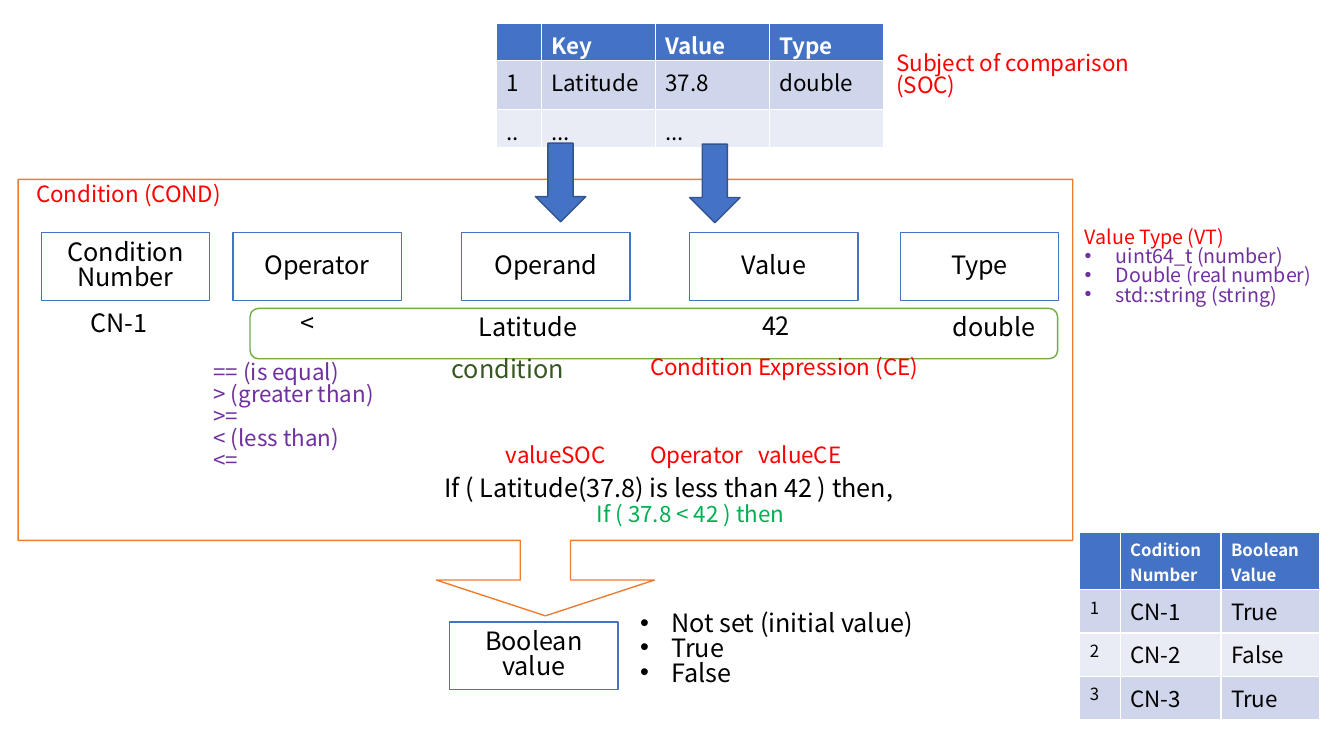
import pptx
import pptx.util
import pptx.dml.color
import pptx.enum.shapes
import pptx.enum.text
import pptx.oxml.ns
import lxml.etree

Inches, Pt = pptx.util.Inches, pptx.util.Pt
SHAPE = pptx.enum.shapes.MSO_SHAPE
RGB = pptx.dml.color.RGBColor.from_string
qn = pptx.oxml.ns.qn

COLORS = {
    "black": "000000", "white": "FFFFFF", "red": "FF0000", "purple": "7030A0",
    "green": "00B050", "dark green": "385723", "light green": "70AD47",
    "blue": "4472C4", "dark blue": "325491", "orange": "ED7D31",
    "band 1": "CFD5EA", "band 2": "E9EBF5",
}
FONT = "Noto Sans CJK KR"

prs = pptx.Presentation()
prs.slide_width, prs.slide_height = Inches(13.33), Inches(7.5)
slide = prs.slides.add_slide(prs.slide_layouts[6])


def write(frame, lines, size, color="black", first_bullet=None, spacing=0.82, bold=False):
    """Fill a text frame; lines from first_bullet onwards get a bullet."""
    frame.word_wrap = True
    for i, line in enumerate(lines):
        paragraph = frame.paragraphs[0] if i == 0 else frame.add_paragraph()
        paragraph.text = line
        paragraph.line_spacing = spacing
        if first_bullet is not None and i >= first_bullet:
            props = paragraph._p.get_or_add_pPr()
            props.set("marL", str(Inches(0.31)))
            props.set("indent", str(-Inches(0.31)))
            font = lxml.etree.SubElement(props, qn("a:buFont"))
            font.set("typeface", "Arial")
            lxml.etree.SubElement(props, qn("a:buChar")).set("char", "•")
        paragraph.font.name = FONT
        paragraph.font.size = Pt(size)
        paragraph.font.bold = bold
        paragraph.font.color.rgb = RGB(COLORS[color])


def draw(preset, left, top, width, height, line, fill=None):
    """Add a preset shape with a thin outline and an optional fill."""
    shape = slide.shapes.add_shape(
        preset, Inches(left), Inches(top), Inches(width), Inches(height))
    shape.shadow.inherit = False
    shape.line.color.rgb = RGB(COLORS[line])
    shape.line.width = Pt(1)
    if fill:
        shape.fill.solid()
        shape.fill.fore_color.rgb = RGB(COLORS[fill])
    else:
        shape.fill.background()
    return shape


# Condition frame pointing down to its result
condition_frame = draw(SHAPE.DOWN_ARROW_CALLOUT, 0.18, 1.78, 10.46, 4.33, "orange")
for i, value in enumerate((0.115, 0.25, 0.082, 0.827)):
    condition_frame.adjustments[i] = value

# Headed boxes
for label, left, top, width in (
    ("Condition Number", 0.41, 2.31, 1.67),
    ("Operator", 2.31, 2.31, 1.67),
    ("Operand", 4.58, 2.31, 1.67),
    ("Value", 6.84, 2.31, 1.67),
    ("Type", 8.93, 2.31, 1.57),
    ("Boolean value", 4.46, 6.17, 1.67),
):
    box = draw(SHAPE.RECTANGLE, left, top, width, 0.67, "blue", "white")
    write(box.text_frame, [label], 18)
    box.text_frame.vertical_anchor = pptx.enum.text.MSO_ANCHOR.MIDDLE
    box.text_frame.paragraphs[0].alignment = pptx.enum.text.PP_ALIGN.CENTER

# Tables: subject of comparison, and results per condition
for left, top, columns, heights, number_size, header_size, rows in (
    (4.92, 0.23, (0.45, 1.13, 1.13, 1.13), (0.37, 0.49, 0.37), 16, 16, (
        ("", "Key", "Value", "Type"),
        ("1", "Latitude", "37.8", "double"),
        ("..", "...", "...", ""))),
    (10.71, 5.28, (0.4, 1, 0.98), (0.57, 0.43, 0.43, 0.43), 12, 12, (
        ("", "Codition Number", "Boolean Value"),
        ("1", "CN-1", "True"),
        ("2", "CN-2", "False"),
        ("3", "CN-3", "True"))),
):
    table = slide.shapes.add_table(
        len(rows), len(columns), Inches(left), Inches(top),
        Inches(sum(columns)), Inches(sum(heights))).table
    for column, width in zip(table.columns, columns):
        column.width = Inches(width)
    for r, row in enumerate(rows):
        table.rows[r].height = Inches(heights[r])
        for c, entry in enumerate(row):
            cell = table.cell(r, c)
            cell.margin_bottom = 0
            cell.fill.solid()
            fill = "blue" if r == 0 else "band 1" if r % 2 else "band 2"
            cell.fill.fore_color.rgb = RGB(COLORS[fill])
            size = header_size if r == 0 else number_size if c == 0 else 16
            write(cell.text_frame, [entry], size, "white" if r == 0 else "black",
                  spacing=1.0, bold=r == 0)

# Arrows from the table, and the outline of the expression
for left, top in ((5.31, 1.42), (6.84, 1.43)):
    draw(SHAPE.DOWN_ARROW, left, top, 0.5, 0.78, "dark blue", "blue")
draw(SHAPE.ROUNDED_RECTANGLE, 2.48, 3.06, 8.01, 0.5, "light green")

# Single-colour texts
for left, top, width, height, size, color, lines in (
    (0.8, 3.05, 1.6, 0.4, 18, "black", ["CN-1"]),
    (2.88, 3.05, 1.6, 0.4, 18, "black", ["<"]),
    (4.65, 3.09, 1.48, 0.4, 18, "black", ["Latitude"]),
    (7.46, 3.08, 1.33, 0.4, 18, "black", ["42"]),
    (9.35, 3.09, 1.33, 0.4, 18, "black", ["double"]),
    (4.38, 3.51, 1.48, 0.4, 18, "dark green", ["condition"]),
    (4.31, 4.69, 5.05, 0.4, 18, "black", ["If ( Latitude(37.8) is less than 42 ) then,"]),
    (5.82, 4.96, 2.92, 0.37, 16, "green", ["If ( 37.8 < 42 ) then"]),
    (6.35, 3.5, 3.13, 0.37, 16, "red", ["Condition Expression (CE)"]),
    (8.79, 0.49, 2.63, 0.64, 16, "red", ["Subject of comparison", "(SOC)"]),
    (0.26, 1.79, 2.63, 0.37, 16, "red", ["Condition (COND)"]),
    (2.02, 3.55, 1.97, 1.72, 16, "purple",
     ["== (is equal)", "> (greater than)", ">=", "< (less than)", "<="]),
):
    note = slide.shapes.add_textbox(
        Inches(left), Inches(top), Inches(width), Inches(height))
    write(note.text_frame, lines, size, color)

# Roles in the comparison, set on tab stops
roles = slide.shapes.add_textbox(Inches(4.92), Inches(4.37), Inches(5.47), Inches(0.37))
roles_line = roles.text_frame.paragraphs[0]
tab_stops = lxml.etree.SubElement(roles_line._p.get_or_add_pPr(), qn("a:tabLst"))
for position in (1.43, 2.5):
    stop = lxml.etree.SubElement(tab_stops, qn("a:tab"))
    stop.set("pos", str(Inches(position)))
    stop.set("algn", "l")
write(roles.text_frame, ["valueSOC\tOperator\tvalueCE"], 16, "red")

# Bulleted lists
value_types = slide.shapes.add_textbox(Inches(10.66), Inches(2.22), Inches(2.67), Inches(1.04))
write(value_types.text_frame,
      ["Value Type (VT)", "uint64_t (number)", "Double (real number)", "std::string (string)"],
      14, "purple", first_bullet=1)
value_types.text_frame.paragraphs[0].font.color.rgb = RGB(COLORS["red"])

boolean_values = slide.shapes.add_textbox(Inches(6.25), Inches(6.03), Inches(3.72), Inches(1.01))
write(boolean_values.text_frame, ["Not set (initial value)", "True", "False"],
      18, first_bullet=0)

prs.save("out.pptx")
